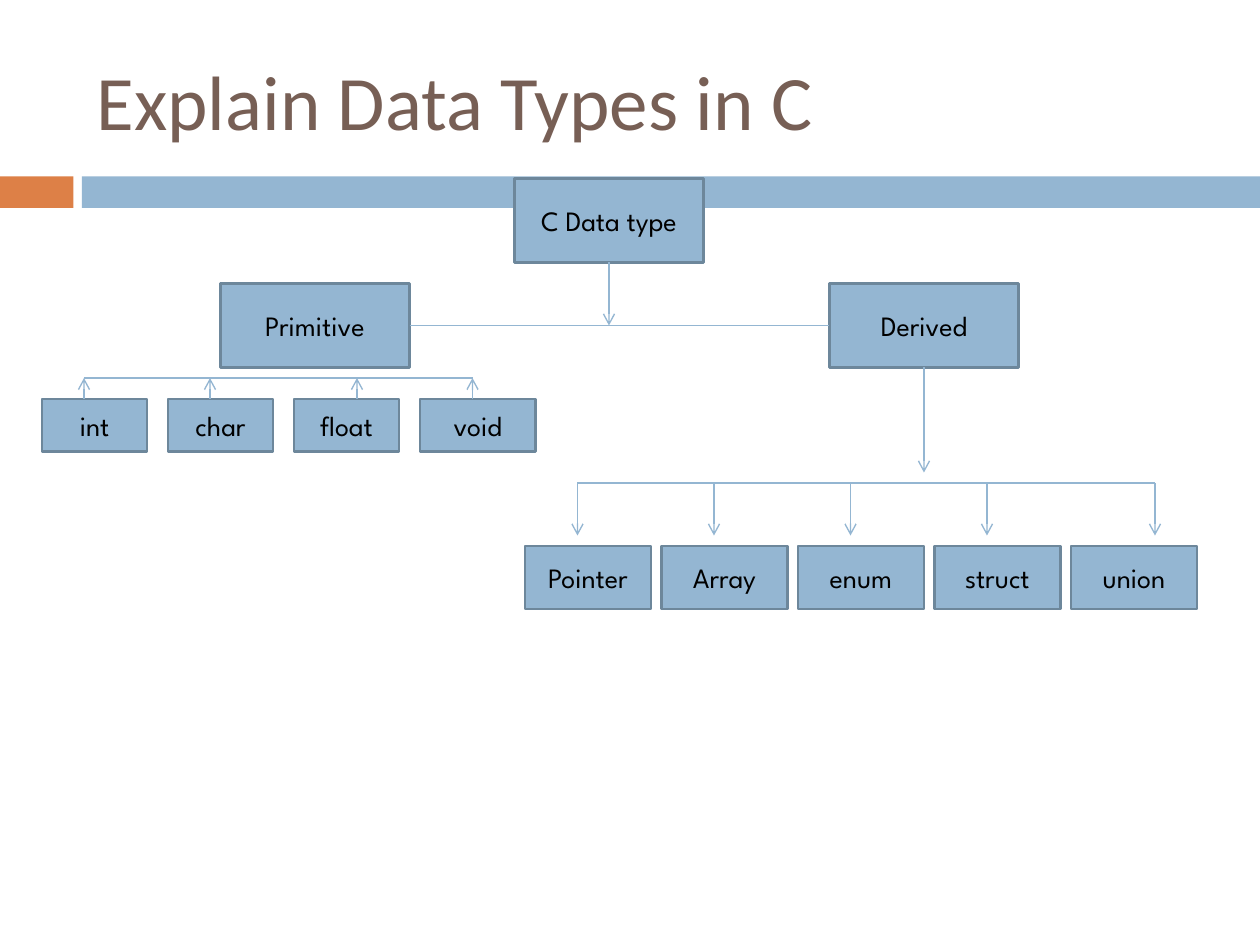
from lxml.etree import SubElement
from pptx import Presentation
from pptx.dml.color import RGBColor
from pptx.enum.shapes import MSO_CONNECTOR, MSO_SHAPE
from pptx.enum.text import MSO_ANCHOR, PP_ALIGN
from pptx.oxml.ns import qn
from pptx.util import Inches, Pt

BLUE = RGBColor(0x94, 0xB6, 0xD2)
EDGE = RGBColor(0x6D, 0x87, 0x9B)
ORANGE = RGBColor(0xDD, 0x80, 0x47)
BROWN = RGBColor(0x77, 0x5F, 0x55)
BLACK = RGBColor(0x00, 0x00, 0x00)

TOP, LEFT, BOTTOM, RIGHT = range(4)


class TreeSlide:
    """Style and current slide; lengths are cells of a grid, 12 to the inch."""

    title_font, title_size = "Calibri", Pt(44)
    box_font, box_size = "League Spartan", Pt(16)
    box_line, link_line = Pt(1.5), Pt(0.79)

    def __init__(self, prs):
        self.s = prs.slides.add_slide(prs.slide_layouts[5])
        self.cell = prs.slide_width / 120

    def grid(self, *cells):
        return [round(c * self.cell) for c in cells]

    def add_text(self, tf, text, font, size, color, align):
        tf.word_wrap = True
        tf.vertical_anchor = MSO_ANCHOR.MIDDLE
        p = tf.paragraphs[0]
        p.alignment = align
        r = p.add_run()
        r.text = text
        r.font.name, r.font.size = font, size
        r.font.color.rgb = color

    def title(self, text, *at):
        sp = self.s.shapes.title
        sp.left, sp.top, sp.width, sp.height = self.grid(*at)
        self.add_text(sp.text_frame, text, self.title_font, self.title_size,
                      BROWN, PP_ALIGN.LEFT)

    def bar(self, color, *at):
        sp = self.s.shapes.add_shape(MSO_SHAPE.RECTANGLE, *self.grid(*at))
        sp.shadow.inherit = False
        sp.fill.solid()
        sp.fill.fore_color.rgb = color
        sp.line.fill.background()
        return sp

    def box(self, text, *at):
        sp = self.bar(BLUE, *at)
        sp.line.color.rgb = EDGE
        sp.line.width = self.box_line
        self.add_text(sp.text_frame, text, self.box_font, self.box_size,
                      BLACK, PP_ALIGN.CENTER)
        return sp

    def link(self, x1, y1, x2, y2, arrow=False, begin=None, end=None):
        cxn = self.s.shapes.add_connector(MSO_CONNECTOR.STRAIGHT,
                                          *self.grid(x1, y1, x2, y2))
        if begin:
            cxn.begin_connect(*begin)
        if end:
            cxn.end_connect(*end)
        cxn.line.color.rgb = BLUE
        cxn.line.width = self.link_line
        spPr = cxn._element.spPr
        if arrow:
            SubElement(spPr.find(qn("a:ln")), qn("a:tailEnd"), type="arrow")
        SubElement(spPr, qn("a:effectLst"))


def main():
    prs = Presentation()
    prs.slide_width, prs.slide_height = Inches(10), Inches(7.5)
    tree = TreeSlide(prs)

    # Title and band
    tree.bar(ORANGE, 0, 16.8, 7, 3)
    tree.bar(BLUE, 7.8, 16.8, 112.2, 3)
    tree.title("Explain Data Types in C", 8, 3, 107, 13)

    # Root and its two branches
    root = tree.box("C Data type", 49, 17, 18, 8)
    primitive = tree.box("Primitive", 21, 27, 18, 8)
    derived = tree.box("Derived", 79, 27, 18, 8)

    # Leaves
    for i, (name, width) in enumerate(
            [("int", 10), ("char", 10), ("float", 10), ("void", 11)]):
        tree.box(name, 4 + 12 * i, 38, width, 5)
    for i, name in enumerate(["Pointer", "Array", "enum", "struct", "union"]):
        tree.box(name, 50 + 13 * i, 52, 12, 6)

    # Links between root and branches
    tree.link(58, 25, 58, 31, arrow=True, begin=(root, BOTTOM))
    tree.link(39, 31, 79, 31, begin=(primitive, RIGHT), end=(derived, LEFT))
    tree.link(88, 35, 88, 45, arrow=True, begin=(derived, BOTTOM))

    # Rails with their arrows: up to Primitive, down from Derived
    for xs, rail, start, stop in [((8, 20, 34, 45), 36, 38, 36),
                                  ((55, 68, 81, 94, 110), 46, 46, 51)]:
        tree.link(xs[0], rail, xs[-1], rail)
        for x in xs:
            tree.link(x, start, x, stop, arrow=True)

    prs.save("out.pptx")


if __name__ == "__main__":
    main()
